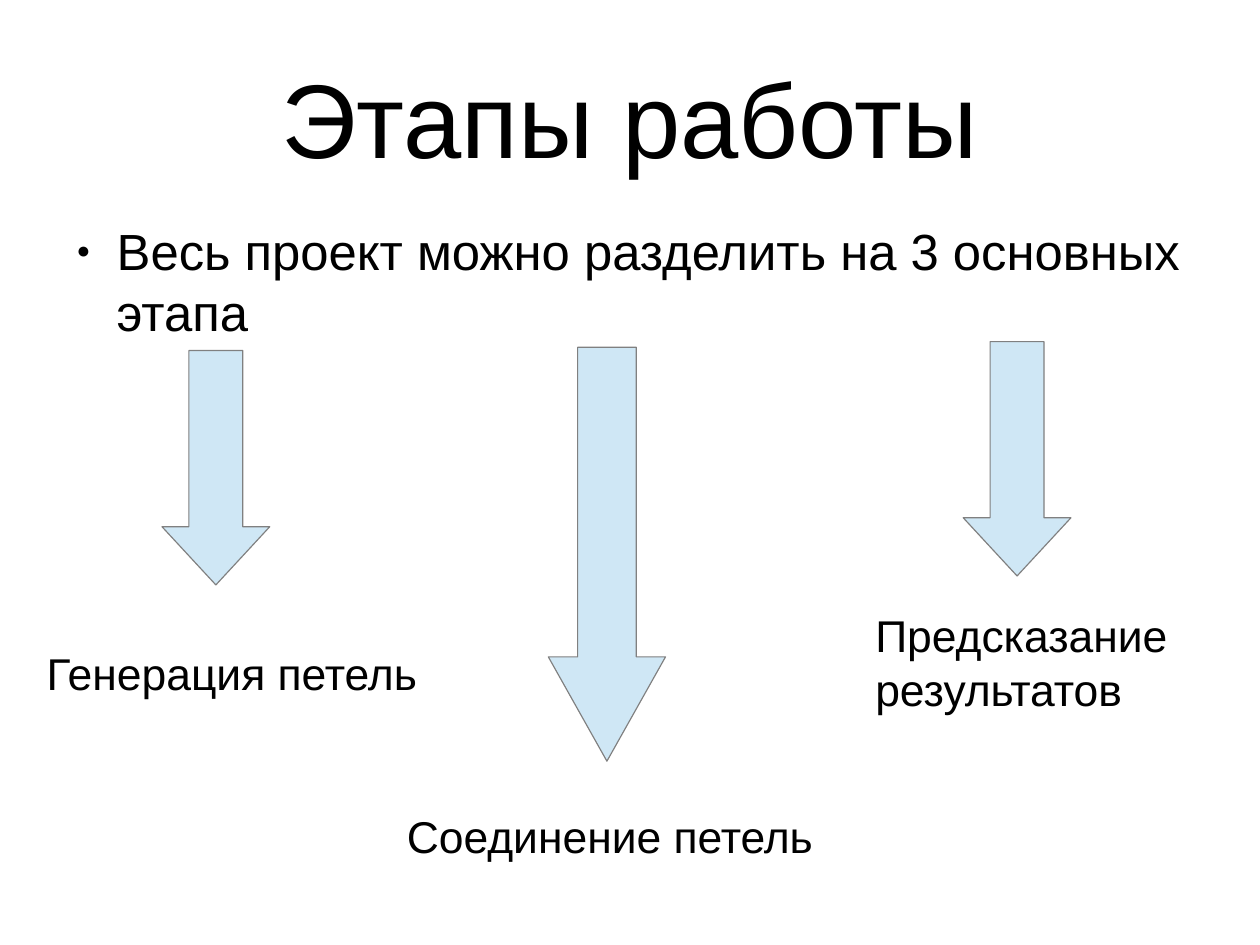
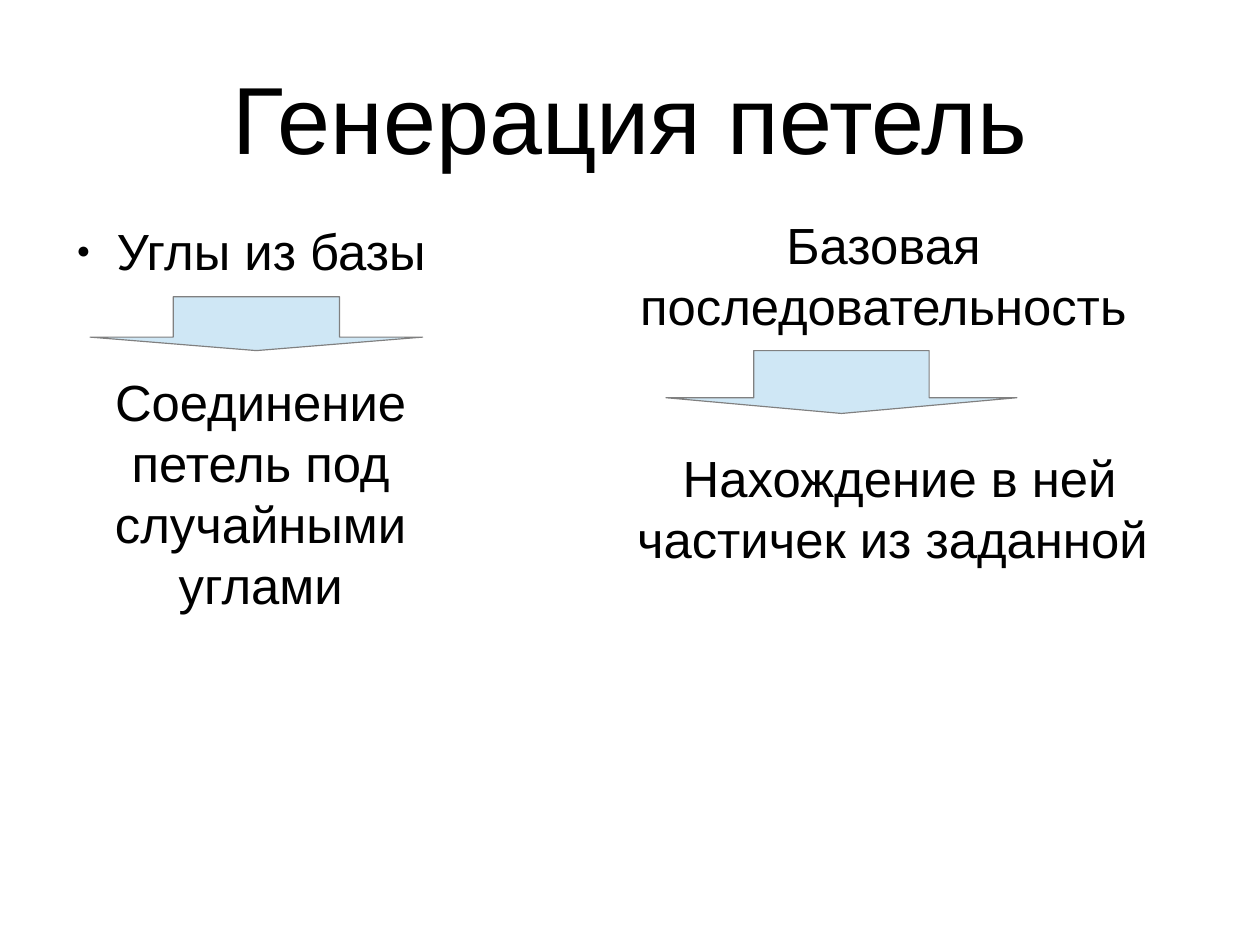
import pptx
import pptx.util
import pptx.dml.color
import pptx.enum.shapes
import pptx.enum.text
import lxml.etree
from pptx.oxml.ns import qn

COLORS = {"ink": "000000", "fill": "CFE7F5", "edge": "808080"}
FONT = "Arial"
LEFT, MID = pptx.enum.text.PP_ALIGN.LEFT, pptx.enum.text.PP_ALIGN.CENTER

deck = pptx.Presentation()
deck.slide_width = pptx.util.Cm(28)
deck.slide_height = pptx.util.Cm(21)


def area(x, y, w, h):
    """Turn percentages of the slide's size into lengths."""
    wide, high = deck.slide_width / 100, deck.slide_height / 100
    return int(x * wide), int(y * high), int(w * wide), int(h * high)


def write(frame, text, size, align=LEFT, wrap=True, inset=True):
    """Put one run into a text frame and return its paragraph."""
    frame.word_wrap = wrap
    frame.auto_size = pptx.enum.text.MSO_AUTO_SIZE.NONE
    if not inset:
        frame.margin_left = frame.margin_right = 0
        frame.margin_top = frame.margin_bottom = 0
    para = frame.paragraphs[0]
    para.alignment = align
    run = para.add_run()
    run.text = text
    run.font.name = FONT
    run.font.size = pptx.util.Pt(size)
    run.font.color.rgb = pptx.dml.color.RGBColor.from_string(COLORS["ink"])
    return para


# Content: areas are left, top, width, height in percent of the slide
pages = [
    {
        "title": ("Этапы работы", 66),
        "point": "Весь проект можно разделить на 3 основных этапа",
        # area, length of the head
        "arrows": [
            ((12.86, 37.1, 8.55, 24.8), 0.54),
            ((76.45, 36.15, 8.55, 24.8), 0.54),
            ((43.52, 36.75, 9.3, 43.8), 0.89),
        ],
        # area, text, wrap
        "labels": [
            ((2.81, 67.8, 31.2, 6.4), "Генерация петель", False),
            ((31.4, 85, 34, 6.4), "Соединение петель", False),
            ((68.58, 63.8, 27.1, 11.7), "Предсказание результатов", True),
        ],
        "style": (28, LEFT),
    },
    {
        "title": ("Генерация петель", 60),
        "point": "Углы из базы",
        "arrows": [
            ((7.15, 31.4, 26.4, 5.7), 0.25),
            ((52.86, 37.1, 27.85, 6.65), 0.25),
        ],
        "labels": [
            ((7.55, 38.65, 26.3, 25.3),
             "Соединение петель под случайными углами", True),
            ((47.4, 22, 45.45, 13.3), "Базовая последовательность", True),
            ((47.85, 46.65, 47.15, 13.3),
             "Нахождение в ней частичек из заданной ", True),
        ],
        "style": (32, MID),
    },
]

for page in pages:
    slide = deck.slides.add_slide(deck.slide_layouts[5])

    # Title
    title = slide.shapes.title
    title.left, title.top, title.width, title.height = area(5, 4, 90, 16.7)
    write(title.text_frame, *page["title"], align=MID, inset=False)
    title.text_frame.vertical_anchor = pptx.enum.text.MSO_ANCHOR.MIDDLE

    # Bullet point
    body = slide.shapes.add_textbox(*area(5, 23.3, 90, 66))
    para = write(body.text_frame, page["point"], 32, inset=False)
    props = para._p.get_or_add_pPr()
    props.set("marL", str(pptx.util.Inches(0.47)))
    props.set("indent", str(pptx.util.Inches(-0.35)))
    tint = lxml.etree.SubElement(props, qn("a:buClr"))
    lxml.etree.SubElement(tint, qn("a:srgbClr"), val=COLORS["ink"])
    lxml.etree.SubElement(props, qn("a:buSzPct"), val="45000")
    lxml.etree.SubElement(props, qn("a:buFont"), typeface=FONT)
    lxml.etree.SubElement(props, qn("a:buChar"), char="●")
    para.space_after = pptx.util.Pt(14.1)

    # Arrows
    for place, head in page["arrows"]:
        arrow = slide.shapes.add_shape(
            pptx.enum.shapes.MSO_SHAPE.DOWN_ARROW, *area(*place))
        arrow.adjustments[0] = 0.5
        arrow.adjustments[1] = head
        arrow.shadow.inherit = False
        arrow.fill.solid()
        arrow.fill.fore_color.rgb = pptx.dml.color.RGBColor.from_string(
            COLORS["fill"])
        arrow.line.color.rgb = pptx.dml.color.RGBColor.from_string(
            COLORS["edge"])
        arrow.line.width = pptx.util.Pt(0)

    # Labels
    for place, text, wrap in page["labels"]:
        label = slide.shapes.add_textbox(*area(*place))
        write(label.text_frame, text, *page["style"], wrap=wrap)

deck.save("out.pptx")
